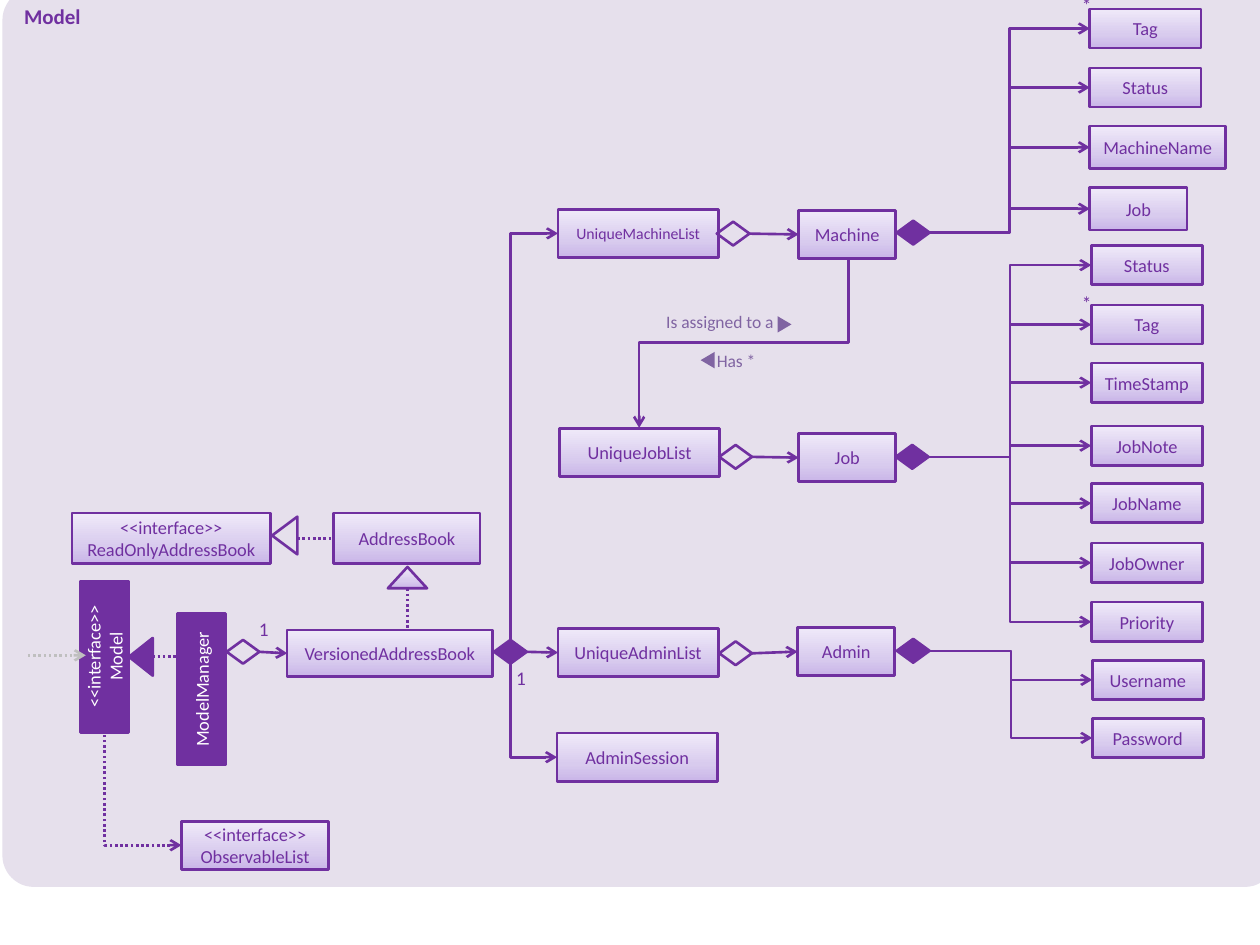
"""Build the class diagram of the Model component."""
from copy import deepcopy

from lxml.etree import SubElement
from pptx import Presentation
from pptx.dml.color import RGBColor
from pptx.enum.dml import MSO_LINE
from pptx.enum.shapes import MSO_CONNECTOR, MSO_SHAPE
from pptx.enum.text import MSO_ANCHOR, PP_ALIGN
from pptx.oxml.ns import qn
from pptx.util import Cm, Pt

PURPLE, PANEL, LABEL, WHITE, GRAY = "7030A0", "E6E0EC", "8064A2", "FFFFFF", "BFBFBF"
GRADIENT = [(0, "C9B5E8"), (0.35, "D8CBEE"), (1, "F0EAF9")]
STRAIGHT, ELBOW = MSO_CONNECTOR.STRAIGHT, MSO_CONNECTOR.ELBOW
TOP, LEFT, BOTTOM, RIGHT = range(4)

presentation = Presentation()
presentation.slide_width, presentation.slide_height = Cm(25.4), Cm(19.05)
slide = presentation.slides.add_slide(presentation.slide_layouts[6])


def add_shape(kind, bounds, fill="gradient", text="", size=10.5, color=PURPLE, line=PURPLE, rotation=0):
    shape = slide.shapes.add_shape(kind, *[Cm(value) for value in bounds])
    shape.shadow.inherit = False
    shape.rotation = rotation
    if fill == "gradient":
        shape.fill.gradient()
        shape.fill.gradient_angle = 90
        stop_list = shape.element.spPr.find(".//" + qn("a:gsLst"))
        stop_list.insert(1, deepcopy(stop_list[0]))
        for stop, (position, stop_color) in zip(shape.fill.gradient_stops, GRADIENT):
            stop.position = position
            stop.color.rgb = RGBColor.from_string(stop_color)
    elif fill:
        shape.fill.solid()
        shape.fill.fore_color.rgb = RGBColor.from_string(fill)
    else:
        shape.fill.background()
    if line:
        shape.line.color.rgb = RGBColor.from_string(line)
        shape.line.width = Pt(1.5)
    else:
        shape.line.fill.background()
    if text:
        shape.text_frame.text = text
        for paragraph in shape.text_frame.paragraphs:
            paragraph.alignment = PP_ALIGN.CENTER
            for run in paragraph.runs:
                run.font.name, run.font.size = "Calibri", Pt(size)
                run.font.color.rgb = RGBColor.from_string(color)
    return shape


def add_line(kind, points=(0, 0, 0, 0), begin=None, end=None, color=PURPLE, dotted=False, arrow="tailEnd"):
    connector = slide.shapes.add_connector(kind, *[Cm(value) for value in points])
    if begin:
        connector.begin_connect(*begin)
    if end:
        connector.end_connect(*end)
    connector.line.color.rgb = RGBColor.from_string(color)
    connector.line.width = Pt(1.5)
    if dotted:
        connector.line.dash_style = MSO_LINE.ROUND_DOT
    properties = connector.element.spPr
    if arrow:
        SubElement(properties.find(qn("a:ln")), qn("a:" + arrow), type="arrow")
    SubElement(properties, qn("a:effectLst"))
    return connector


panel = add_shape(MSO_SHAPE.ROUNDED_RECTANGLE, (0.05, -0.23, 25.68, 18.11), PANEL, "Model", 12, line=None)
panel.adjustments[0] = 0.035
panel.text_frame.vertical_anchor = MSO_ANCHOR.TOP
panel.text_frame.paragraphs[0].alignment = PP_ALIGN.LEFT
panel.text_frame.paragraphs[0].runs[0].font.bold = True

for text, left, top in [("ModelManager", 2.54, 13.41), ("<<interface>>\nModel", 0.58, 12.75)]:
    add_shape(MSO_SHAPE.RECTANGLE, (left, top, 3.05, 0.97), PURPLE, text, color=WHITE, rotation=270)

boxes = {}
for text, *bounds in [
    ("VersionedAddressBook", 5.79, 12.7, 4.14, 0.94),
    ("<<interface>>\vReadOnlyAddressBook", 1.45, 10.34, 4.01, 1.02),
    ("<<interface>>\vObservableList", 3.66, 16.56, 2.97, 0.97),
    ("AddressBook", 6.73, 10.34, 2.95, 1.02),
    ("UniqueMachineList", 11.25, 4.22, 3.23, 0.97),
    ("UniqueJobList", 11.28, 8.64, 3.23, 0.97),
    ("UniqueAdminList", 11.25, 12.67, 3.23, 0.97),
    ("AdminSession", 11.23, 14.78, 3.23, 0.97),
    ("Machine", 16.1, 4.24, 1.96, 0.97),
    ("Job", 16.1, 8.74, 1.96, 0.97),
    ("Admin", 16.08, 12.65, 1.96, 0.97),
]:
    size = 9 if text == "UniqueMachineList" else 10.5
    boxes[text] = add_shape(MSO_SHAPE.RECTANGLE, bounds, text=text, size=size)

for left, top, target in [
    (4.57, 12.9, "VersionedAddressBook"),
    (14.45, 4.47, "Machine"),
    (14.5, 8.97, "Job"),
    (14.5, 12.93, "Admin"),
]:
    diamond = add_shape(MSO_SHAPE.FLOWCHART_DECISION, (left, top, 0.66, 0.48), None)
    add_line(STRAIGHT, begin=(diamond, RIGHT), end=(boxes[target], LEFT))

diamond = add_shape(MSO_SHAPE.FLOWCHART_DECISION, (9.96, 12.9, 0.66, 0.48), PURPLE)
add_line(STRAIGHT, begin=(diamond, RIGHT), end=(boxes["UniqueAdminList"], LEFT))
corners = [
    add_line(ELBOW, begin=(boxes["UniqueMachineList"], LEFT), end=(diamond, TOP), arrow="headEnd"),
    add_line(ELBOW, begin=(boxes["AdminSession"], LEFT), end=(diamond, BOTTOM), arrow="headEnd"),
    add_line(ELBOW, (3.66, 17.04, 2.11, 14.73), dotted=True, arrow="headEnd"),
]
for connector in corners:
    connector.element.spPr.find(qn("a:prstGeom")).set("prst", "bentConnector2")

narrow, wide, low, high = 1.96, 2.24, 0.79, 0.86
for diamond_left, diamond_top, left, attributes in [
    (18.08, 4.45, 21.97, [("Tag", 0.18, wide, low), ("Status", 1.37, wide, low),
                          ("MachineName", 2.54, 2.74, high), ("Job", 3.78, narrow, high)]),
    (18.06, 8.97, 22, [("Status", 4.95, wide, low), ("Tag", 6.15, wide, low),
                       ("TimeStamp", 7.32, wide, low), ("JobNote", 8.59, wide, low),
                       ("JobName", 9.75, wide, low), ("JobOwner", 10.95, wide, low),
                       ("Priority", 12.14, wide, low)]),
    (18.08, 12.88, 22.02, [("Username", 13.31, wide, low), ("Password", 14.48, wide, low)]),
]:
    diamond = add_shape(MSO_SHAPE.FLOWCHART_DECISION, (diamond_left, diamond_top, 0.66, 0.48), PURPLE)
    for text, top, width, height in attributes:
        attribute = add_shape(MSO_SHAPE.RECTANGLE, (left, top, width, height), text=text)
        add_line(ELBOW, begin=(diamond, RIGHT), end=(attribute, LEFT))

assignment = add_line(ELBOW, (13.28, 4.8, 16.71, 9.02))
assignment.element.spPr.find(qn("a:xfrm")).set("rot", "5400000")

add_line(STRAIGHT, (0.56, 13.21, 1.73, 13.21), color=GRAY, dotted=True)
add_line(STRAIGHT, (3.07, 13.23, 3.68, 13.23), dotted=True, arrow=None)
add_line(STRAIGHT, (8.22, 11.86, 8.22, 12.67), dotted=True, arrow=None)
add_line(STRAIGHT, (5.99, 10.85, 6.73, 10.85), end=(boxes["AddressBook"], LEFT), dotted=True, arrow=None)

for bounds, fill, line, rotation in [
    ((2.46, 13, 0.76, 0.48), PURPLE, PURPLE, 270),
    ((5.36, 10.54, 0.76, 0.51), PANEL, PURPLE, 270),
    ((7.82, 11.43, 0.79, 0.43), "gradient", PURPLE, 0),
    ((15.65, 6.4, 0.33, 0.28), LABEL, None, 90),
    ((14.1, 7.12, 0.33, 0.28), LABEL, None, 270),
]:
    add_shape(MSO_SHAPE.ISOSCELES_TRIANGLE, bounds, fill, line=line, rotation=rotation)

for text, size, color, *bounds in [
    ("1", 11, PURPLE, 10.24, 13.44, 0.53, 0.51),
    ("1", 11, PURPLE, 5.08, 12.45, 0.48, 0.38),
    ("*", 11, PURPLE, 21.64, 5.87, 0.53, 0.51),
    ("*", 11, PURPLE, 21.64, -0.13, 0.53, 0.51),
    ("Is assigned to a", 10, LABEL, 13.18, 6.15, 2.69, 0.69),
    ("Has *", 10, LABEL, 14.2, 6.93, 1.3, 0.69),
]:
    text_frame = slide.shapes.add_textbox(*[Cm(value) for value in bounds]).text_frame
    text_frame.text = text
    paragraph = text_frame.paragraphs[0]
    font = paragraph.runs[0].font
    font.name, font.size = "Calibri", Pt(size)
    font.color.rgb = RGBColor.from_string(color)
    if len(text) == 1:
        text_frame.word_wrap = True
        paragraph.alignment = PP_ALIGN.CENTER
        text_frame.margin_left = text_frame.margin_right = 0
        text_frame.margin_top = text_frame.margin_bottom = 0

presentation.save("out.pptx")
